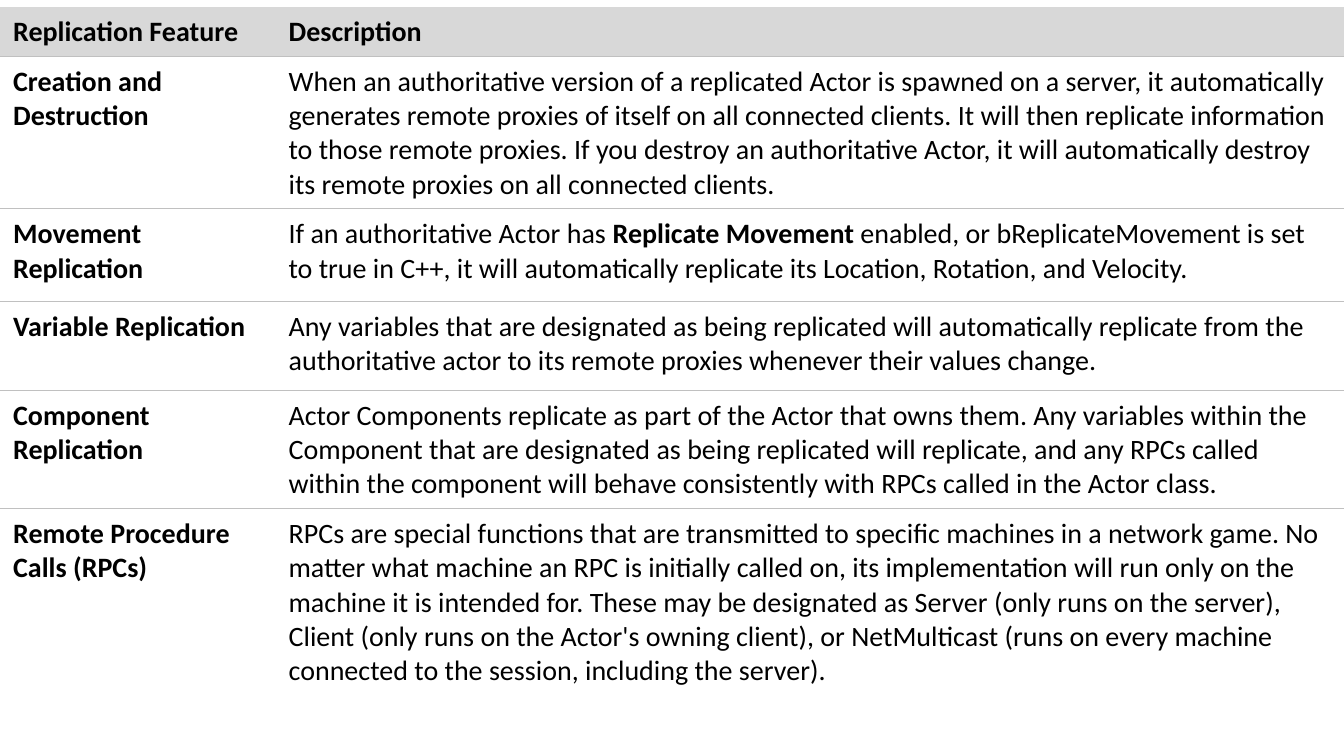
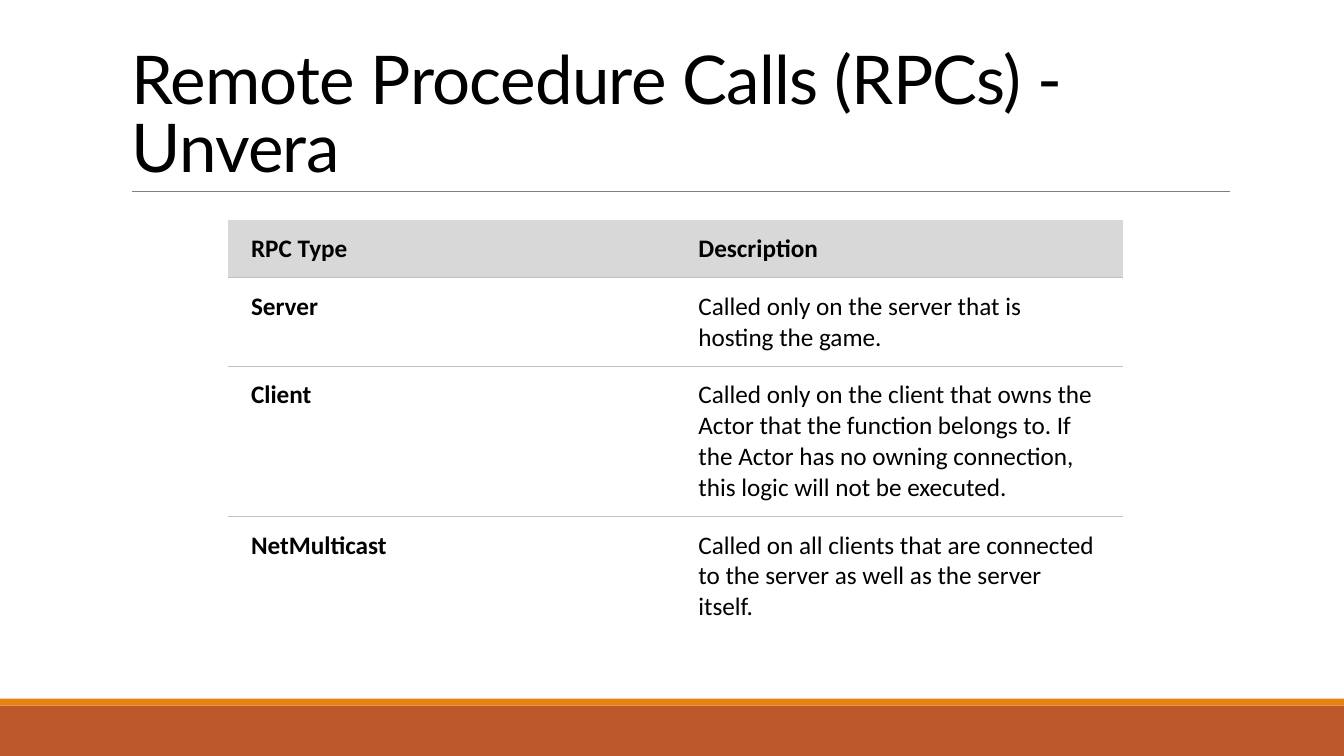
import dataclasses
import typing

import lxml.etree
import pptx
import pptx.dml.color
import pptx.enum.shapes
import pptx.enum.text
import pptx.oxml.ns
import pptx.util

Pt = pptx.util.Pt
qn = pptx.oxml.ns.qn

WIDE, HIGH = 960, 540
BLACK, WHITE, GREY = "000000", "FFFFFF", "D8D8D8"
RULE, LINE = "C0C0C0", "808080"
RUST, AMBER = "BD582C", "E48312"


@dataclasses.dataclass(frozen=True)
class Band:
    top: float
    high: float
    fill: str


@dataclasses.dataclass(frozen=True)
class Grid:
    left: float
    top: float
    cols: tuple[float, ...]
    rows: tuple[float, ...]
    size: float
    pad: tuple[float, float, float]  # sides, top, bottom
    cells: tuple[tuple[str, str], ...]  # **bold** marks a bold run


BANDS = (Band(504, 36, RUST), Band(499, 5, AMBER))

FEATURES = Grid(
    left=0, top=5, cols=(196.8, 763.2),
    rows=(35.4, 108.9, 66.4, 63.2, 84.6, 176.5),
    size=20, pad=(9.4, 5.8, 5),
    cells=(
        ("Replication Feature", "Description"),
        ("Creation and Destruction",
         "When an authoritative version of a replicated Actor is spawned on a "
         "server, it automatically generates remote proxies of itself on all "
         "connected clients. It will then replicate information to those remote "
         "proxies. If you destroy an authoritative Actor, it will automatically "
         "destroy its remote proxies on all connected clients."),
        ("Movement Replication",
         "If an authoritative Actor has **Replicate Movement** enabled, or "
         "bReplicateMovement is set to true in C++, it will automatically "
         "replicate its Location, Rotation, and Velocity."),
        ("Variable Replication",
         "Any variables that are designated as being replicated will "
         "automatically replicate from the authoritative actor to its remote "
         "proxies whenever their values change."),
        ("Component Replication",
         "Actor Components replicate as part of the Actor that owns them. Any "
         "variables within the Component that are designated as being replicated "
         "will replicate, and any RPCs called within the component will behave "
         "consistently with RPCs called in the Actor class."),
        ("Remote Procedure Calls (RPCs)",
         "RPCs are special functions that are transmitted to specific machines "
         "in a network game. No matter what machine an RPC is initially called "
         "on, its implementation will run only on the machine it is intended "
         "for. These may be designated as Server (only runs on the server), "
         "Client (only runs on the Actor's owning client), or NetMulticast (runs "
         "on every machine connected to the session, including the server)."),
    ),
)

CALLS = Grid(
    left=162.8, top=157, cols=(319.6, 319.6),
    rows=(41.4, 63.3, 107.3, 85.4),
    size=18, pad=(16.5, 9.7, 9.7),
    cells=(
        ("RPC Type", "Description"),
        ("Server", "Called only on the server that is hosting the game."),
        ("Client",
         "Called only on the client that owns the Actor that the function "
         "belongs to. If the Actor has no owning connection, this logic will not "
         "be executed."),
        ("NetMulticast",
         "Called on all clients that are connected to the server as well as the "
         "server itself."),
    ),
)


def tint(code: str) -> pptx.dml.color.RGBColor:
    return pptx.dml.color.RGBColor.from_string(code)


def apply(item: typing.Any, values: dict[str, typing.Any]) -> None:
    for name, value in values.items():
        setattr(item, name, value)


def paint(item: typing.Any, code: str) -> None:
    item.fill.solid()
    item.fill.fore_color.rgb = tint(code)


def write(para: typing.Any, text: str, face: str, size: float, bold: bool = False) -> None:
    """Add runs to a paragraph; ** switches bold on and off."""
    for place, part in enumerate(text.split("**")):
        run = para.add_run()
        run.text = part
        apply(run.font, {"name": face, "size": Pt(size), "bold": bold or place % 2 == 1})
        run.font.color.rgb = tint(BLACK)


def edge(cell: typing.Any, above: bool, below: bool) -> None:
    """Rule the cell's top and bottom where asked, and clear its other sides."""
    props = cell._tc.get_or_add_tcPr()
    sides = {"a:lnL": False, "a:lnR": False, "a:lnT": above, "a:lnB": below}
    for place, (tag, ruled) in enumerate(sides.items()):
        line = lxml.etree.Element(qn(tag), w=str(int(Pt(0.75))))
        if ruled:
            fill = lxml.etree.SubElement(line, qn("a:solidFill"))
            lxml.etree.SubElement(fill, qn("a:srgbClr"), val=RULE)
        else:
            lxml.etree.SubElement(line, qn("a:noFill"))
        props.insert(place, line)


def draw_grid(slide: typing.Any, grid: Grid) -> None:
    count = len(grid.rows)
    frame = slide.shapes.add_table(
        count, len(grid.cols), Pt(grid.left), Pt(grid.top),
        Pt(sum(grid.cols)), Pt(sum(grid.rows)))
    table = frame.table
    table.horz_banding = False
    for col, wide in zip(table.columns, grid.cols):
        col.width = Pt(wide)
    side, top, foot = map(Pt, grid.pad)
    for i, (row, high, texts) in enumerate(zip(table.rows, grid.rows, grid.cells)):
        row.height = Pt(high)
        for j, (cell, text) in enumerate(zip(row.cells, texts)):
            apply(cell, {"margin_left": side, "margin_right": side,
                         "margin_top": top, "margin_bottom": foot})
            paint(cell, WHITE if i else GREY)
            edge(cell, above=i > 0, below=i < count - 1)
            write(cell.text_frame.paragraphs[0], text, "Calibri", grid.size,
                  bold=i == 0 or j == 0)


def draw_frame(slide: typing.Any) -> None:
    """Draw the foot bands and the title rule, and move them to the layout."""
    parts = []
    for band in BANDS:
        shape = slide.shapes.add_shape(
            pptx.enum.shapes.MSO_SHAPE.RECTANGLE,
            0, Pt(band.top), Pt(WIDE), Pt(band.high))
        shape.shadow.inherit = False
        paint(shape, band.fill)
        shape.line.fill.background()
        parts.append(shape)
    rule = slide.shapes.add_connector(
        pptx.enum.shapes.MSO_CONNECTOR.STRAIGHT,
        Pt(94.3), Pt(136.8), Pt(878.8), Pt(136.8))
    rule.line.color.rgb = tint(LINE)
    rule.line.width = Pt(0.5)
    lxml.etree.SubElement(rule._element.spPr, qn("a:effectLst"))
    parts.append(rule)
    tree = slide.slide_layout.shapes._spTree
    for mark, part in enumerate(parts, start=101):
        part._element.xpath(".//p:cNvPr")[0].set("id", str(mark))
        tree.append(part._element)


def draw_title(slide: typing.Any, text: str) -> None:
    box = slide.shapes.add_textbox(Pt(86.8), Pt(22.3), Pt(792), Pt(114.5))
    apply(box.text_frame, {"word_wrap": True,
                           "vertical_anchor": pptx.enum.text.MSO_ANCHOR.BOTTOM})
    para = box.text_frame.paragraphs[0]
    para.line_spacing = 0.85
    write(para, text, "Lato", 48)
    for run in para.runs:
        run.font._element.set("spc", "-50")


def main() -> None:
    deck = pptx.Presentation()
    apply(deck, {"slide_width": Pt(WIDE), "slide_height": Pt(HIGH)})
    blank = deck.slide_layouts[6]

    slide = deck.slides.add_slide(blank)
    draw_frame(slide)
    draw_grid(slide, FEATURES)

    slide = deck.slides.add_slide(blank)
    draw_title(slide, "Remote Procedure Calls (RPCs) - Unvera")
    draw_grid(slide, CALLS)

    deck.save("out.pptx")


if __name__ == "__main__":
    main()
